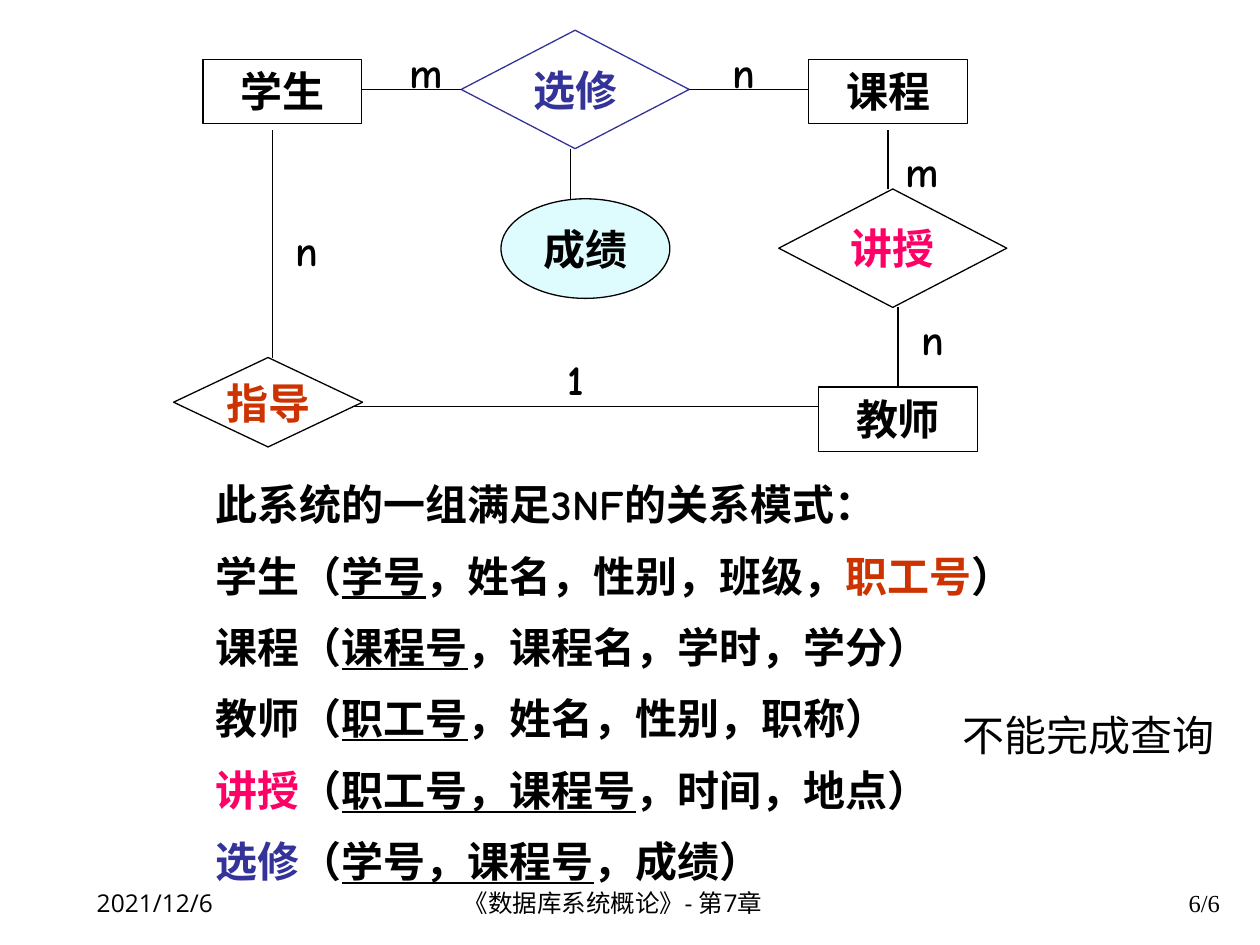
from lxml import etree
from pptx import Presentation
from pptx.dml.color import RGBColor
from pptx.enum.shapes import MSO_CONNECTOR, MSO_SHAPE
from pptx.enum.text import MSO_ANCHOR, MSO_AUTO_SIZE, PP_ALIGN
from pptx.oxml.ns import qn
from pptx.util import Pt

RECT, DIAMOND, OVAL = MSO_SHAPE.RECTANGLE, MSO_SHAPE.DIAMOND, MSO_SHAPE.OVAL
STRAIGHT = MSO_CONNECTOR.STRAIGHT
TOP, MIDDLE, BOTTOM = MSO_ANCHOR.TOP, MSO_ANCHOR.MIDDLE, MSO_ANCHOR.BOTTOM
GROW, FIXED = MSO_AUTO_SIZE.SHAPE_TO_FIT_TEXT, MSO_AUTO_SIZE.NONE
LEFT, CENTER, RIGHT = PP_ALIGN.LEFT, PP_ALIGN.CENTER, PP_ALIGN.RIGHT
HAND, CJK, SANS, SERIF = "Comic Neue", "Noto Sans CJK SC", "Open Sans", "Times New Roman"
BLACK, BLUE, PINK, RED, PALE = "000000", "333399", "FF0066", "CC3300", "DEFBFE"

ENTITIES = [("学生", 116.1, 34), ("课程", 462.2, 34), ("教师", 467.8, 221.2)]
RELATIONS = [
    ("选修", (263.5, 17.3, 130.3, 67.7), BLUE, BLUE),
    ("讲授", (445, 108, 130.3, 67.7), PINK, BLACK),
    ("指导", (99.2, 204.3, 108, 51.1), RED, BLACK),
]
LINKS = [
    (206.8, 51.1, 263.5, 51.1), (393.8, 51.1, 462.2, 51.1),
    (507.4, 74.2, 507.4, 108), (513.2, 175.7, 513.2, 221.2),
    (467.8, 232.4, 201.4, 232.4), (155.8, 74.2, 155.8, 204.3),
    (326.2, 85, 326.2, 113.6),
]
LABELS = [
    ("m", 223.9, 23), ("n", 405.4, 23), ("m", 507.4, 79.4),
    ("n", 513.2, 175.7), ("1", 309.1, 198.7), ("n", 155.8, 124.6),
]
SCHEMAS = [
    ("学生", BLACK, "学号", [("，姓名，性别，班级，", HAND, BLACK),
                         ("职工号", CJK, RED), ("）", HAND, BLACK)]),
    ("课程", BLACK, "课程号", [("，课程名，学时，学分）", HAND, BLACK)]),
    ("教师", BLACK, "职工号", [("，姓名，性别，职称）", HAND, BLACK)]),
    ("讲授", PINK, "职工号，课程号", [("，时间，地点）", HAND, BLACK)]),
    ("选修", BLUE, "学号，课程号", [("，成绩）", HAND, BLACK)]),
]
FOOTERS = [
    ("2021/12/6", 48.2, 149.8, SANS, LEFT),
    ("《数据库系统概论》- 第7章", 257.8, 228.2, SANS, LEFT),
    ("6/6", 554.4, 149.8, SERIF, RIGHT),
]


def rgb(value):
    """Turn a hex string into a colour."""
    return RGBColor.from_string(value)


def add_span(para, text, font=HAND, size=24, color=BLACK, bold=True, underline=False):
    """Add one formatted run to a paragraph."""
    span = para.add_run()
    span.text = text
    span.font.name, span.font.size = font, Pt(size)
    span.font.bold, span.font.underline = bold, underline
    span.font.color.rgb = rgb(color)
    east = etree.Element(qn("a:ea"), typeface=HAND if font == CJK else font)
    span.font._element.find(qn("a:latin")).addnext(east)


def set_frame(box, anchor=TOP, wrap=True, fit=FIXED):
    """Set wrapping, anchor and fitting, and return the first paragraph."""
    frame = box.text_frame
    frame.word_wrap, frame.vertical_anchor, frame.auto_size = wrap, anchor, fit
    return frame.paragraphs[0]


def add_node(page, kind, place, text, color=BLACK, line=BLACK, fill=None):
    """Add an outlined diagram shape with bold centred text."""
    node = page.shapes.add_shape(kind, *map(Pt, place))
    node.shadow.inherit = False
    if fill:
        node.fill.solid()
        node.fill.fore_color.rgb = rgb(fill)
    else:
        node.fill.background()
    node.line.color.rgb = rgb(line)
    node.line.width = Pt(0.75)
    entity = kind == RECT
    para = set_frame(node, TOP if entity else MIDDLE, entity, GROW if entity else FIXED)
    para.alignment = CENTER
    if entity:
        para.space_before = Pt(12)
    add_span(para, text, color=color)


def add_link(page, ends):
    """Add a thin straight line between two points."""
    link = page.shapes.add_connector(STRAIGHT, *map(Pt, ends))
    link.line.color.rgb = rgb(BLACK)
    link.line.width = Pt(0.75)
    etree.SubElement(link._element.spPr, qn("a:effectLst"))


def add_text(page, place, text, align, anchor=TOP, wrap=True, fit=GROW, before=0, **style):
    """Add a text box holding one line."""
    box = page.shapes.add_textbox(*map(Pt, place))
    para = set_frame(box, anchor, wrap, fit)
    para.alignment = align
    para.space_before = Pt(before)
    add_span(para, text, **style)


def format_line(para):
    """Give a body paragraph its spacing and drop its bullet."""
    para.space_before = Pt(12)
    properties = para._p.get_or_add_pPr()
    properties.set("marL", "0")
    properties.set("indent", "0")
    etree.SubElement(properties, qn("a:buNone"))


def fill_schemas(body):
    """Write the relation schemas into the body placeholder."""
    body.left, body.top, body.width, body.height = map(Pt, (116.1, 270, 499, 254.2))
    para = set_frame(body)
    format_line(para)
    add_span(para, "此系统的一组满足3NF的关系模式：")
    for name, color, key, rest in SCHEMAS:
        para = body.text_frame.add_paragraph()
        format_line(para)
        add_span(para, name, color=color)
        add_span(para, "（")
        add_span(para, key, underline=True)
        for text, font, tint in rest:
            add_span(para, text, font=font, color=tint)


def main():
    """Build the slide and save it."""
    deck = Presentation()
    deck.slide_width, deck.slide_height = Pt(720), Pt(540)
    page = deck.slides.add_slide(deck.slide_layouts[1])
    title = page.shapes.title._element
    title.getparent().remove(title)
    fill_schemas(page.placeholders[1])
    for text, left, top in ENTITIES:
        add_node(page, RECT, (left, top, 90.7, 36.7), text)
    for text, place, color, line in RELATIONS:
        add_node(page, DIAMOND, place, text, color, line)
    add_node(page, OVAL, (286.3, 113.6, 96.5, 56.9), "成绩", fill=PALE)
    for ends in LINKS:
        add_link(page, ends)
    for text, left, top in LABELS:
        add_text(page, (left, top, 39.6, 36), text, CENTER, before=12)
    add_text(page, (542.2, 401.8, 159.8, 36), "不能完成查询", CENTER,
             wrap=False, font=SANS, bold=False)
    for text, left, width, font, align in FOOTERS:
        add_text(page, (left, 491.8, width, 36), text, align, BOTTOM,
                 fit=FIXED, font=font, size=14, bold=False)
    deck.save("out.pptx")


main()
